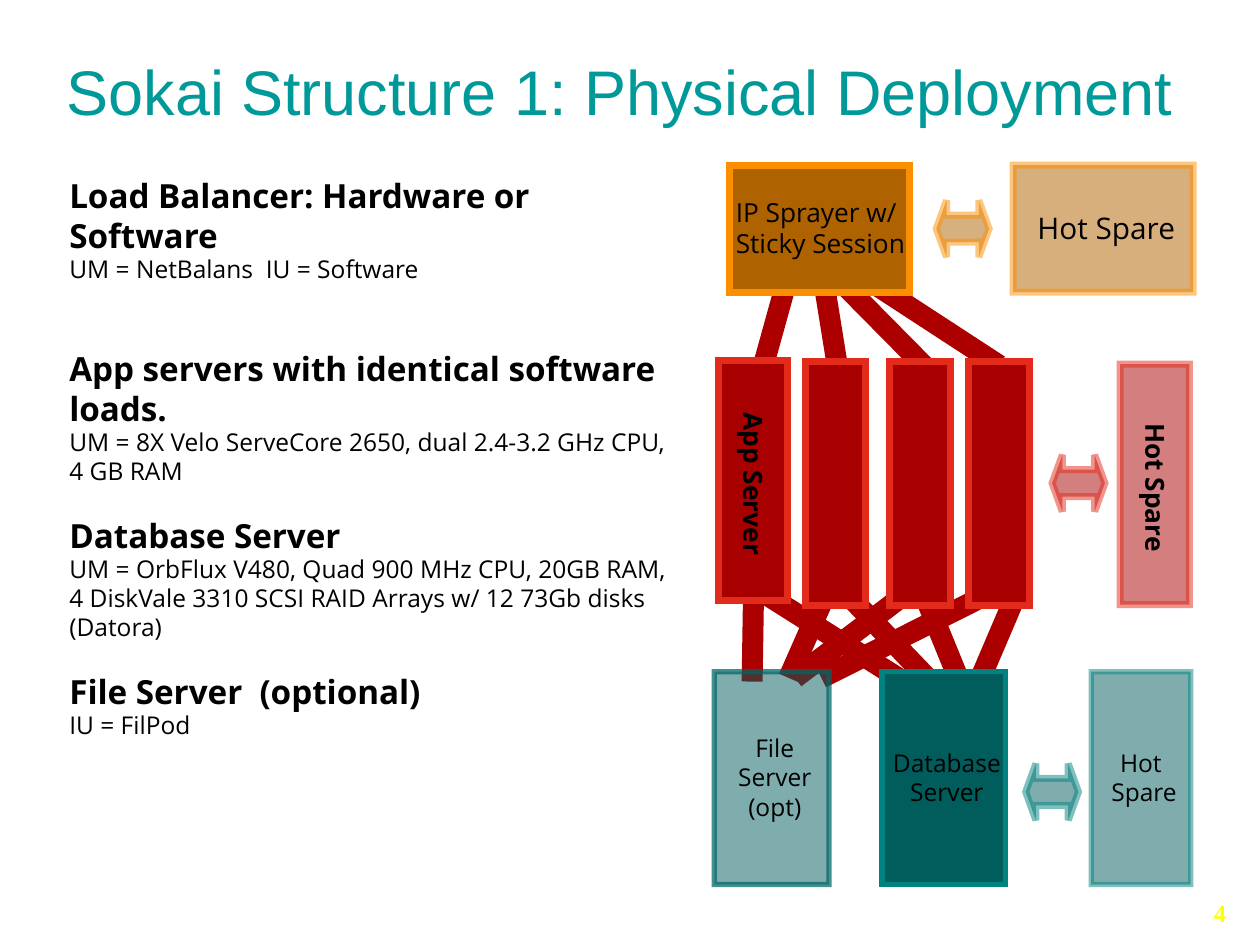
from dataclasses import dataclass
from lxml.etree import SubElement as Sub
from pptx import Presentation
from pptx.dml.color import RGBColor as RGB
from pptx.enum.shapes import MSO_CONNECTOR as Conn, MSO_SHAPE as Kind
from pptx.enum.text import MSO_ANCHOR as Anchor, PP_ALIGN as Align
from pptx.oxml.ns import qn
from pptx.util import Pt


@dataclass(frozen=True)
class Theme:
    amber: tuple = ("AF6300", "FC8F00")  # fill, line
    red: tuple = ("A80000", "E32B1B")
    teal: tuple = ("005D5C", "008380")
    dim: tuple = ("005D5C", "006666")
    link: str = "AC0000"
    title: str = "009999"
    ink: str = "000000"
    page: str = "FFFF00"
    font: str = "Open Sans"
    title_font: str = "Arial"
    page_font: str = "Times New Roman"
    big: int = 36
    head: int = 19
    spare: int = 17
    label: int = 15
    body: int = 14


T = Theme()


@dataclass(frozen=True)
class Box:
    x: float
    y: float
    w: float
    h: float
    hue: tuple
    text: str = ""
    size: int = T.body
    bold: bool = False
    align: Align = Align.CENTER
    edge: float = 4
    alpha: int = 100
    rim: int = 100  # line opacity
    turn: int = 0
    arrow: bool = False


@dataclass(frozen=True)
class Link:
    x1: float
    y1: float
    x2: float
    y2: float


@dataclass(frozen=True)
class Note:
    head: str
    body: str
    gap: float


def fade(fill, alpha: int) -> None:
    if alpha < 100:
        color = fill._xPr.find(qn("a:solidFill"))[0]
        Sub(color, qn("a:alpha")).set("val", str(alpha * 1000))


def style(par, text: str, size: int, color: str, font: str = T.font,
          bold: bool = False, align: Align = Align.LEFT, indent: float = 0) -> None:
    par.text, par.alignment = text, align
    face = par.font
    face.name, face.size, face.bold = font, Pt(size), bold
    face.color.rgb = RGB.from_string(color)
    par._p.get_or_add_pPr().set("marL", str(Pt(indent)))


def bare(frame, anchor: Anchor) -> None:
    frame.word_wrap, frame.vertical_anchor = True, anchor
    frame.margin_left = frame.margin_right = Pt(0)
    frame.margin_top = frame.margin_bottom = Pt(0)


def area(slide, x: float, y: float, w: float, h: float, anchor: Anchor = Anchor.TOP):
    frame = slide.shapes.add_textbox(Pt(x), Pt(y), Pt(w), Pt(h)).text_frame
    bare(frame, anchor)
    return frame


def draw_link(slide, link: Link) -> None:
    line = slide.shapes.add_connector(
        Conn.STRAIGHT, Pt(link.x1), Pt(link.y1), Pt(link.x2), Pt(link.y2))
    line.line.width = Pt(12)
    line.line.color.rgb = RGB.from_string(T.link)
    Sub(line._element.spPr, qn("a:effectLst"))


def draw_box(slide, box: Box) -> None:
    kind = Kind.LEFT_RIGHT_ARROW if box.arrow else Kind.RECTANGLE
    shape = slide.shapes.add_shape(kind, Pt(box.x), Pt(box.y), Pt(box.w), Pt(box.h))
    shape.shadow.inherit = False
    shape.rotation = box.turn
    if box.arrow:
        shape.adjustments[0], shape.adjustments[1] = 0.474, 0.195
    fill, line = shape.fill, shape.line
    fill.solid()
    fill.fore_color.rgb = RGB.from_string(box.hue[0])
    fade(fill, box.alpha)
    line.width = Pt(box.edge)
    line.color.rgb = RGB.from_string(box.hue[1])
    fade(line.fill, box.rim)
    Sub(line._get_or_add_ln(), qn("a:miter")).set("lim", "800000")
    if box.text:
        frame = shape.text_frame
        bare(frame, Anchor.MIDDLE)
        for i, text in enumerate(box.text.split("\n")):
            par = frame.add_paragraph() if i else frame.paragraphs[0]
            style(par, text, box.size, T.ink, bold=box.bold, align=box.align, indent=3.6)
            par.line_spacing = 0.99


def arrow(x: float, y: float, hue: tuple) -> Box:
    return Box(x, y, 30.2, 32.4, hue, alpha=50, rim=50, arrow=True)


LINKS = [
    # App servers to database
    Link(433.4, 337, 523.4, 393.8), Link(482.4, 337.7, 529.9, 387.4),
    Link(527, 337, 550.8, 395.3), Link(582.5, 335.5, 553, 404.6),
    # App servers to file server
    Link(430.6, 339.1, 429.8, 389.5), Link(474.5, 333.4, 450.7, 387.4),
    Link(532.1, 328.3, 454.3, 387.4), Link(575.3, 334.1, 469.4, 387.4),
    # App servers to sprayer
    Link(571, 208.8, 486, 153.4), Link(529.2, 210.2, 480.2, 160.6),
    Link(478.1, 206.6, 468, 144), Link(435.6, 211, 455.8, 138.2),
]
TOP, LOW = 94.3, 383.8
BOXES = [
    Box(504, LOW, 70.6, 121.7, T.teal, "Database\nServer", edge=3),
    Box(416.9, TOP, 103, 72.7, T.amber, "IP Sprayer w/\nSticky Session", T.label,
        align=Align.LEFT),
    Box(361.4, 254.9, 137.5, 39.6, T.red, "App Server", T.label, True, turn=90),
    Box(623.5, LOW, 56.9, 121.7, T.teal, "Hot \nSpare", edge=3, alpha=50, rim=50),
    *(Box(x, 206.6, 34.6, 139.7, T.red) for x in (460.1, 508.3, 553.7)),
    arrow(535, 114.5, T.amber),
    Box(578.9, TOP, 103, 72.7, T.amber, "Hot Spare", T.spare, alpha=51, rim=51),
    arrow(601.2, 259.9, T.red),
    arrow(586.1, 436.3, T.teal),
    Box(591.1, 257, 137.5, 39.6, T.red, "Hot Spare", T.label, True,
        alpha=50, rim=50, turn=90),
    Box(408.2, LOW, 65.5, 121.7, T.dim, "File\nServer\n(opt)", edge=3, alpha=50, rim=72),
]
NOTES = [
    Note("Load Balancer: Hardware or Software", "UM = NetBalans  IU = Software", 0),
    Note("App servers with identical software loads.",
         "UM = 8X Velo ServeCore 2650, dual 2.4-3.2 GHz CPU, 4 GB RAM", 36.8),
    Note("Database Server",
         "UM = OrbFlux V480, Quad 900 MHz CPU, 20GB RAM, 4 DiskVale 3310 SCSI RAID "
         "Arrays w/ 12 73Gb disks  (Datora)", 16.6),
    Note("File Server  (optional)", "IU = FilPod", 16.6),
]


def main() -> None:
    deck = Presentation()
    deck.slide_width, deck.slide_height = Pt(720), Pt(540)
    slide = deck.slides.add_slide(deck.slide_layouts[6])

    # Diagram: links lie behind the boxes
    for link in LINKS:
        draw_link(slide, link)
    for box in BOXES:
        draw_box(slide, box)

    # Title
    frame = area(slide, 12.2, 25.2, 684, 53.3, Anchor.MIDDLE)
    style(frame.paragraphs[0], "Sokai Structure 1: Physical Deployment", T.big, T.title,
          T.title_font, align=Align.CENTER)

    # Notes on the left
    frame = area(slide, 36, 100, 354.2, 374.4)
    for i, note in enumerate(NOTES):
        par = frame.add_paragraph() if i else frame.paragraphs[0]
        style(par, note.head, T.head, T.ink, bold=True, indent=3.6)
        par.space_before = Pt(note.gap)
        par = frame.add_paragraph()
        style(par, note.body, T.body, T.ink, indent=3.6)
        par.line_spacing = 0.99

    # Page number
    frame = area(slide, 673.2, 513.4, 27.4, 18)
    style(frame.paragraphs[0], "4", T.body, T.page, T.page_font, True, Align.RIGHT)

    deck.save("out.pptx")


if __name__ == "__main__":
    main()
